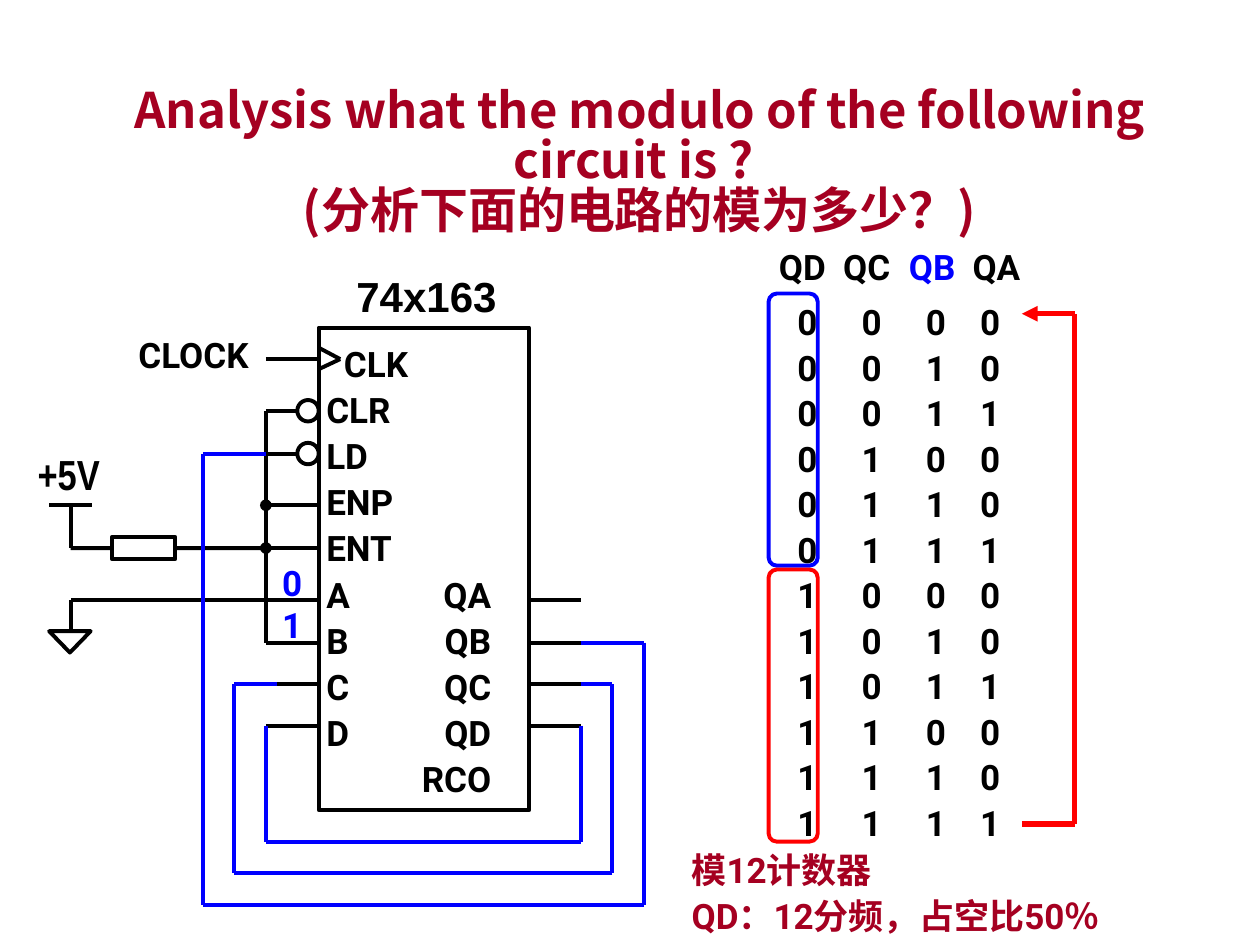
from itertools import pairwise

from lxml.etree import SubElement
from pptx import Presentation
from pptx.dml.color import RGBColor
from pptx.enum.shapes import MSO_CONNECTOR as Connector, MSO_SHAPE as Shape
from pptx.enum.text import MSO_ANCHOR as Anchor, MSO_AUTO_SIZE as AutoSize, PP_ALIGN as Align
from pptx.oxml.ns import qn
from pptx.util import Inches, Pt

COLORS = {"black": "000000", "blue": "0000FF", "red": "FF0000", "crimson": "A50021"}
TITLE = "Analysis what the modulo of the following circuit is ? \v(分析下面的电路的模为多少？)"
PINS = ["CLK", "CLR", "LD", "ENP", "ENT", "A\tQA", "B\tQB", "C\tQC", "D\tQD", "\tRCO"]
INPUT_PINS = {"CLK": 2.85, "ENP": 4.01, "ENT": 4.35, "A": 4.76, "B": 5.1, "C": 5.43, "D": 5.76}
INVERTED_PINS = {"CLR": 3.26, "LD": 3.6}
OUTPUT_PINS = {"QA": 4.76, "QB": 5.1, "QC": 5.43, "QD": 5.76}
CHIP_LEFT, CHIP_RIGHT, CHIP_TOP, CHIP_HEIGHT = 2.53, 4.2, 2.6, 3.83
BUS, OUTPUT_END, BUBBLE = 2.11, 4.61, 0.17
RESISTOR = (0.89, 4.26, 0.5, 0.18)

BLACK_WIRES = [
    [(2.53, 2.76), (2.7, 2.85), (2.53, 2.93)],
    [(0.39, 4.01), (0.73, 4.01)],
    [(0.56, 4.01), (0.56, 4.35)],
    [(BUS, 4.76), (0.56, 4.76), (0.56, 5.01)],
    [(BUS, 4.35), (BUS, 5.1)],
]
JUNCTION_WIRES = [[(BUS, 3.26), (BUS, 4.01)], [(BUS, 4.01), (BUS, 4.35)]]
FEEDBACK_WIRES = [
    [(4.61, 5.76), (4.61, 6.68), (2.11, 6.68), (2.11, 5.76)],
    [(4.61, 5.43), (4.86, 5.43), (4.86, 6.93), (1.86, 6.93), (1.86, 5.43), (2.2, 5.43)],
    [(4.61, 5.1), (5.11, 5.1), (5.11, 7.18), (1.61, 7.18), (1.61, 3.6), (2.11, 3.6)],
]
RETURN_ARROW = [(8.11, 6.54), (8.53, 6.54), (8.53, 2.49), (8.11, 2.49)]

LABELS = [
    (["74x163"], (2.73, 2.1, 1.32, 0.5), {"size": 24, "name": "Arial"}),
    (["+5V"], (0.2, 3.51, 0.7, 0.5), {"size": 24, "name": "Arial Narrow"}),
    (["CLOCK"], (1, 2.6, 1.14, 0.43), {}),
    (["0", "1"], (2.14, 4.41, 0.38, 0.77), {"color": "blue"}),
]
NOTES = [("模12计数器", 6.62), ("QD：12分频，占空比50％", 6.98)]
HEADER = ["QD", "QC", "QB", "QA"]
HEADER_CENTERS = [6.37, 6.88, 7.4, 7.91]
BIT_CENTERS = [6.41, 6.92, 7.43, 7.86]
STATES = ["0000", "0010", "0011", "0100", "0110", "0111",
          "1000", "1010", "1011", "1100", "1110", "1111"]

presentation = Presentation()
presentation.slide_width, presentation.slide_height = Inches(10), Inches(7.5)
slide = presentation.slides.add_slide(presentation.slide_layouts[5])


def rgb(color):
    return RGBColor.from_string(COLORS[color])


def style_font(font, size=20, name="Roboto", color="black"):
    for key, value in {"size": Pt(size), "name": name, "bold": True}.items():
        setattr(font, key, value)
    font.color.rgb = rgb(color)


def add_tabs(paragraph, positions, alignment):
    tabs = SubElement(paragraph._p.get_or_add_pPr(), qn("a:tabLst"))
    for position in positions:
        SubElement(tabs, qn("a:tab"), pos=str(Inches(position)), algn=alignment)


def add_box(place, wrap=True, inset=0.05):
    frame = slide.shapes.add_textbox(*map(Inches, place)).text_frame
    values = {"word_wrap": wrap, "margin_top": Inches(inset), "margin_bottom": Inches(inset)}
    for key, value in values.items():
        setattr(frame, key, value)
    return frame


def add_outline(kind, place, color="black"):
    shape = slide.shapes.add_shape(kind, *map(Inches, place))
    shape.shadow.inherit = False
    shape.fill.background()
    shape.line.color.rgb = rgb(color)
    shape.line.width = Pt(2.25)
    return shape


def add_wire(points, color="black", width=2.25, tail=None):
    wires = []
    for start, end in pairwise(points):
        wire = slide.shapes.add_connector(Connector.STRAIGHT, *map(Inches, start + end))
        wire.line.color.rgb = rgb(color)
        wire.line.width = Pt(width)
        SubElement(wire._element.spPr, qn("a:effectLst"))
        wires.append(wire)
    if tail:
        SubElement(wires[-1].line._get_or_add_ln(), qn("a:tailEnd"), type=tail)
    return wires[-1]


def add_row(paragraph, cells, centers, left):
    add_tabs(paragraph, [center - left - 0.1 for center in centers], "ctr")
    paragraph.line_spacing = 1.3
    for cell in cells:
        run = paragraph.add_run()
        run.text = "\t" + cell
        style_font(run.font, color="blue" if cell == "QB" else "black")


def add_title():
    title = slide.shapes.title
    for key, value in zip(("left", "top", "width", "height"), (0.43, 0.84, 9.29, 1.1)):
        setattr(title, key, Inches(value))
    frame = title.text_frame
    frame.text = TITLE
    values = {"word_wrap": True, "auto_size": AutoSize.NONE, "vertical_anchor": Anchor.BOTTOM}
    for key, value in values.items():
        setattr(frame, key, value)
    paragraph = frame.paragraphs[0]
    paragraph.alignment, paragraph.line_spacing = Align.CENTER, 0.85
    for run in paragraph.runs:
        style_font(run.font, 28, "Noto Sans CJK JP", "crimson")
        SubElement(run.font._element, qn("a:ea"), typeface="Noto Sans CJK JP")


def add_chip():
    place = (CHIP_LEFT, CHIP_TOP, CHIP_RIGHT - CHIP_LEFT, CHIP_HEIGHT)
    frame = add_outline(Shape.RECTANGLE, place).text_frame
    frame.margin_left, frame.vertical_anchor = Inches(0.06), Anchor.MIDDLE
    frame.text = "\n".join(PINS)
    for paragraph in frame.paragraphs:
        add_tabs(paragraph, [1.31], "r")
        paragraph.alignment, paragraph.line_spacing = Align.LEFT, 1.1
        style_font(paragraph.font)
    frame.paragraphs[0]._p.pPr.set("marL", str(Inches(0.14)))
    for y in INVERTED_PINS.values():
        left = CHIP_LEFT - BUBBLE
        add_outline(Shape.OVAL, (left, y - BUBBLE / 2, BUBBLE, BUBBLE))
        add_wire([(BUS, y), (left, y)])
    for y in INPUT_PINS.values():
        add_wire([(BUS, y), (CHIP_LEFT, y)])
    for y in OUTPUT_PINS.values():
        add_wire([(CHIP_RIGHT, y), (OUTPUT_END, y)])


def add_circuit():
    resistor = add_outline(Shape.RECTANGLE, RESISTOR)
    add_wire([(0.56, 4.35), (0.89, 4.35)]).end_connect(resistor, 1)
    add_wire([(1.39, 4.35), (2.14, 4.35)]).begin_connect(resistor, 3)
    ground = add_outline(Shape.ISOSCELES_TRIANGLE, (0.39, 5.01, 0.33, 0.17))
    ground._element.spPr.xfrm.set("flipV", "1")
    for points in BLACK_WIRES:
        add_wire(points)
    for points in JUNCTION_WIRES:
        add_wire(points, tail="oval")
    for points in FEEDBACK_WIRES:
        add_wire(points, "blue")
    for lines, place, font in LABELS:
        frame = add_box(place, wrap=False)
        frame.text = "\n".join(lines)
        for paragraph in frame.paragraphs:
            style_font(paragraph.font, **font)


def add_state_sequence():
    header = add_box((5.98, 1.8, 2.32, 0.97))
    add_row(header.paragraphs[0], HEADER, HEADER_CENTERS, 5.98)
    add_row(header.add_paragraph(), STATES[0], BIT_CENTERS, 5.98)
    for index, state in enumerate(STATES[1:]):
        frame = add_box((6.11, 2.65 + 0.361 * index, 2.05, 0.43), inset=0)
        add_row(frame.paragraphs[0], state, BIT_CENTERS, 6.11)
    for top, color in [(2.33, "blue"), (4.52, "red")]:
        add_outline(Shape.ROUNDED_RECTANGLE, (6.1, top, 0.39, 2.16), color)
    add_wire(RETURN_ARROW, "red", 3, "triangle")
    for text, top in NOTES:
        frame = add_box((5.39, top, 4.21, 0.5))
        frame.text = text
        frame.paragraphs[0].line_spacing = 1.2
        style_font(frame.paragraphs[0].font, color="crimson")


def main():
    """Build the counter analysis slide and save it."""
    add_title()
    add_chip()
    add_circuit()
    add_state_sequence()
    presentation.save("out.pptx")


if __name__ == "__main__":
    main()
